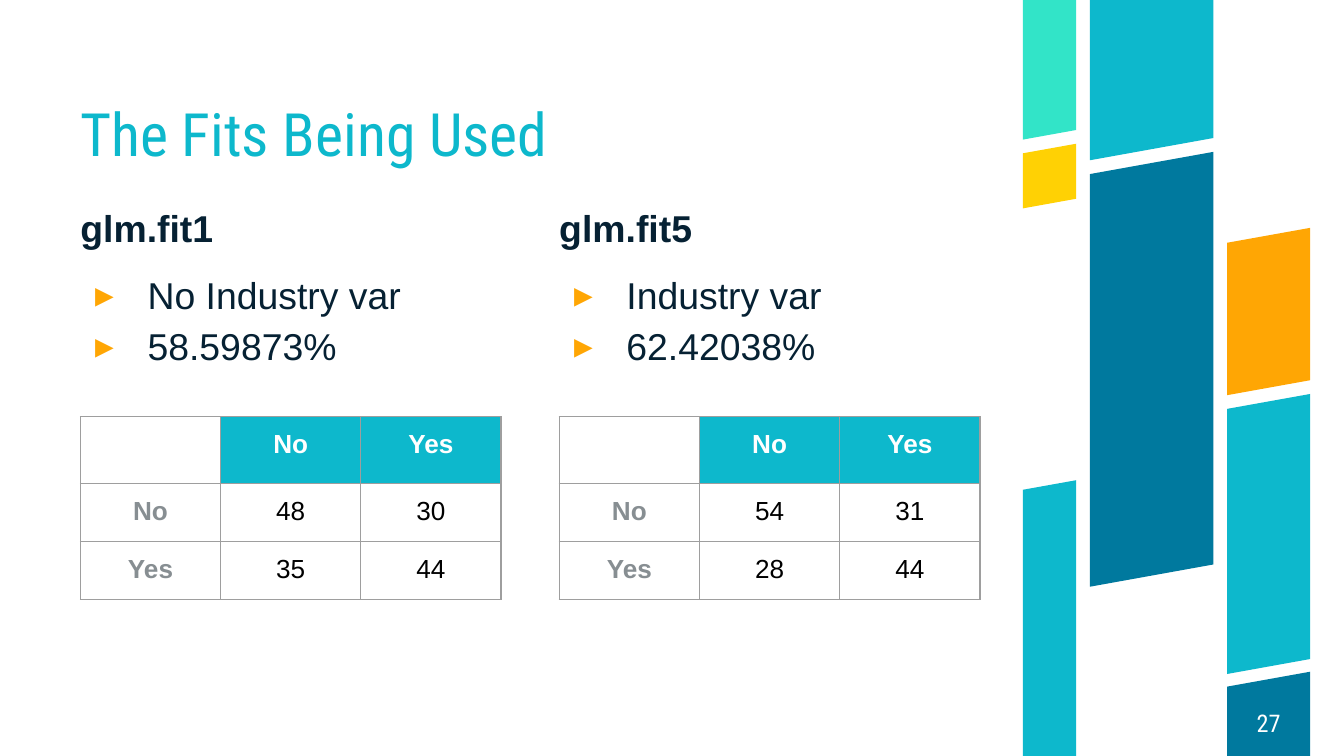
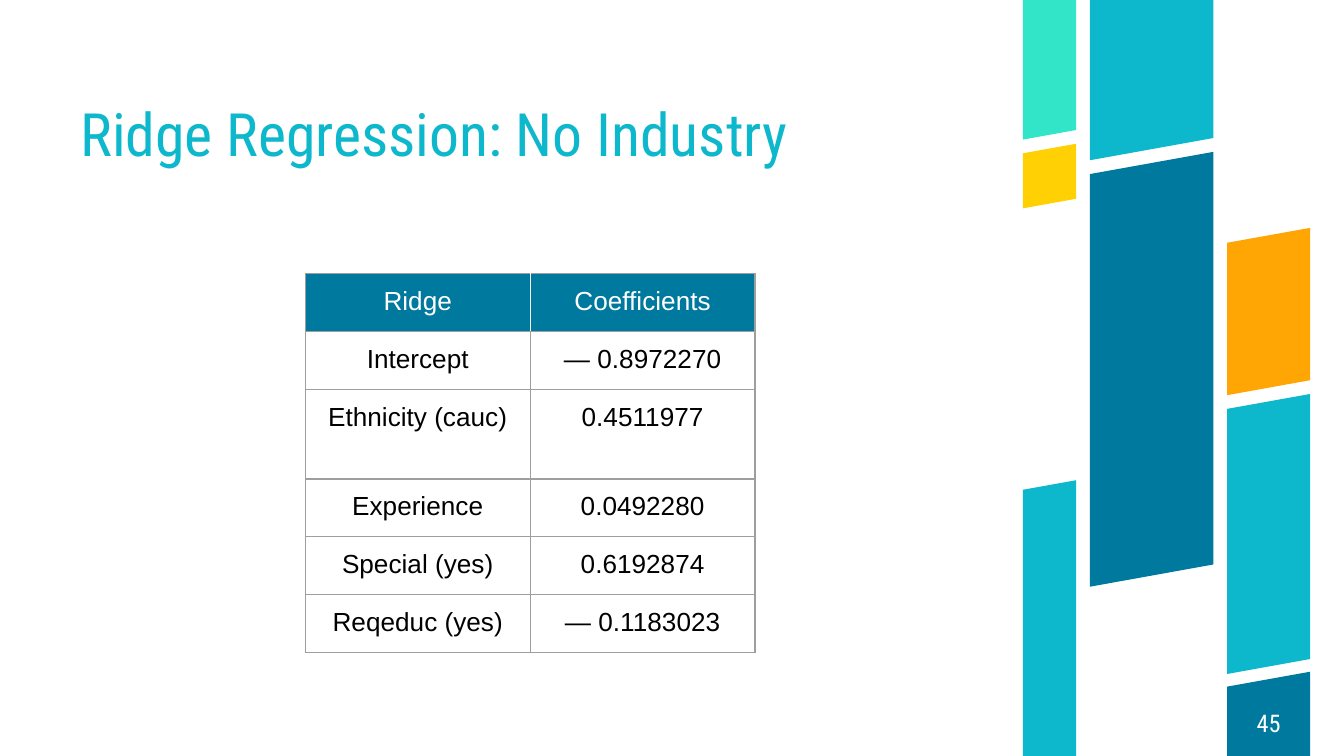
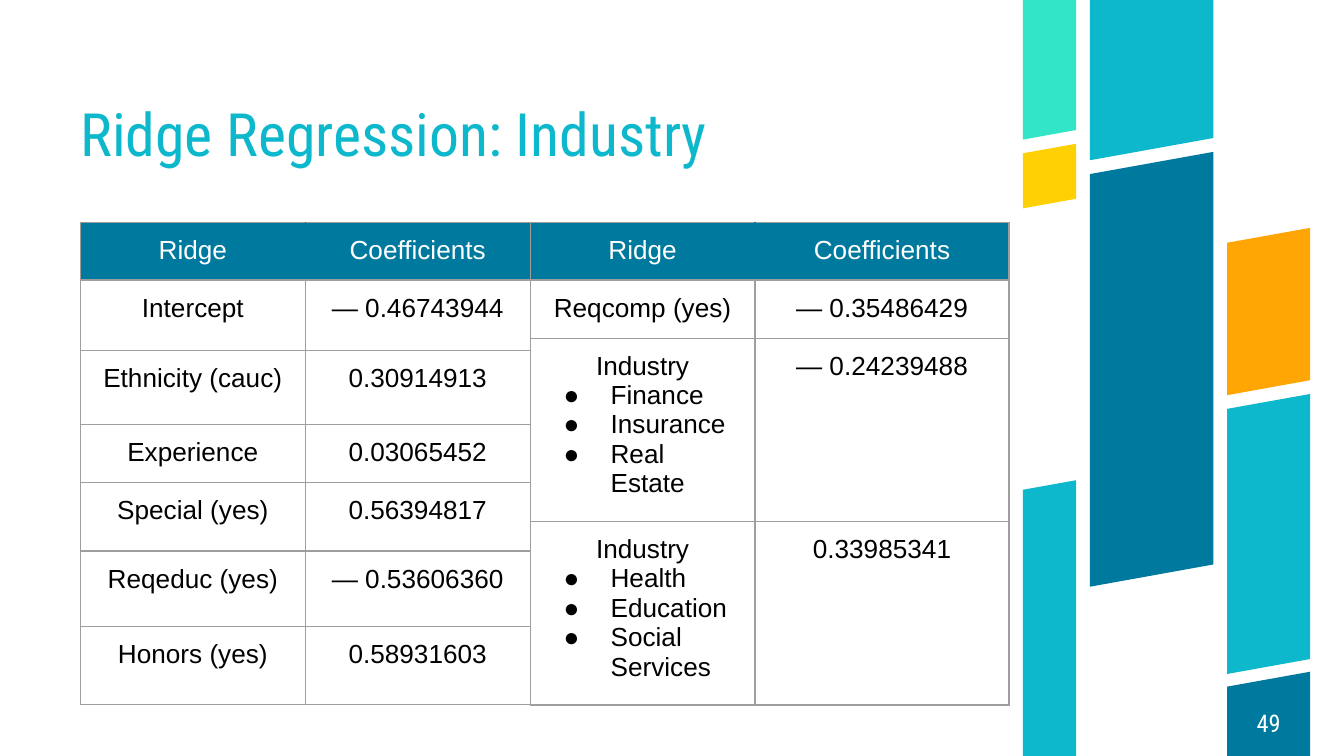
import lxml.etree
import pptx
import pptx.dml.color
import pptx.enum.text
import pptx.oxml.ns
import pptx.util

Cm = pptx.util.Cm
Pt = pptx.util.Pt
CENTER = pptx.enum.text.PP_ALIGN.CENTER
LEFT = pptx.enum.text.PP_ALIGN.LEFT
TOP = pptx.enum.text.MSO_ANCHOR.TOP
MIDDLE = pptx.enum.text.MSO_ANCHOR.MIDDLE
BOTTOM = pptx.enum.text.MSO_ANCHOR.BOTTOM

COLORS = {
    "teal": "0DB8CC",
    "blue": "00799E",
    "mint": "32E4C8",
    "yellow": "FFD104",
    "orange": "FFA604",
    "navy": "062133",
    "label": "878E92",
    "border": "9E9E9E",
    "black": "000000",
    "white": "FFFFFF",
}

SLIDE_WIDTH, SLIDE_HEIGHT = 25.4, 14.29
MARGIN = 1.52
SECOND_COLUMN = 10.57
ROW = 1.06
COLUMN = 4.25

BAND_SLOPE = 0.18
BAND_COLUMNS = {"left": (19.33, 20.34), "middle": (20.6, 22.93), "right": (23.19, 24.76)}
BANDS = [
    ("left", 9.26, SLIDE_HEIGHT, "teal"),
    ("left", 2.9, 3.94, "yellow"),
    ("left", 0, 2.64, "mint"),
    ("middle", 3.29, 11.09, "blue"),
    ("middle", 0, 3.03, "teal"),
    ("right", 4.59, 7.47, "orange"),
    ("right", 12.98, SLIDE_HEIGHT, "blue"),
    ("right", 7.73, 12.74, "teal"),
]

FONTS = {
    "title": {"name": "Roboto Condensed", "size": Pt(32), "bold": False},
    "number": {"name": "Roboto Condensed", "size": Pt(13), "bold": False},
    "heading": {"name": "Arial", "size": Pt(20), "bold": True},
    "body": {"name": "Arial", "size": Pt(20), "bold": False},
    "cell": {"name": "Arial", "size": Pt(14), "bold": False},
    "cell_bold": {"name": "Arial", "size": Pt(14), "bold": True},
}


def rgb(color):
    """Return the named colour as an RGB value."""
    return pptx.dml.color.RGBColor.from_string(COLORS[color])


def set_values(target, values):
    """Set each named value as an attribute of the target."""
    for name, value in values.items():
        setattr(target, name, value)


def add_element(parent, tag, **attributes):
    """Append a DrawingML element and return it."""
    return lxml.etree.SubElement(parent, pptx.oxml.ns.qn(tag), attributes)


def add_bullet(paragraph, character, color, hanging):
    """Give the paragraph a coloured bullet with a hanging indent."""
    properties = paragraph._p.get_or_add_pPr()
    properties.set("marL", str(Cm(1.27)))
    properties.set("indent", str(-Cm(hanging)))
    add_element(add_element(properties, "a:buClr"), "a:srgbClr", val=COLORS[color])
    add_element(properties, "a:buFont", typeface="Arial")
    add_element(properties, "a:buChar", char=character)


def write_paragraph(text_frame, index, text, font, color, layout):
    """Write one styled paragraph, reusing the first one of the frame."""
    paragraph = text_frame.add_paragraph() if index else text_frame.paragraphs[0]
    set_values(paragraph, layout)
    run = paragraph.add_run()
    run.text = text
    set_values(run.font, FONTS[font])
    run.font.color.rgb = rgb(color)
    return paragraph


def add_text_frame(slide, left, top, width, height, anchor):
    """Add a wrapping text box without insets and return its frame."""
    box = slide.shapes.add_textbox(Cm(left), Cm(top), Cm(width), Cm(height))
    set_values(box.text_frame, {
        "word_wrap": True, "vertical_anchor": anchor,
        "margin_left": 0, "margin_right": 0, "margin_top": 0, "margin_bottom": 0,
    })
    return box.text_frame


def add_band(slide, column, top, bottom, color):
    """Add a band whose ends slope upwards, except at the slide edges."""
    left, right = BAND_COLUMNS[column]
    rise = (right - left) * BAND_SLOPE
    right_top = top - rise if top > 0 else top
    right_bottom = bottom - rise if bottom < SLIDE_HEIGHT else bottom
    builder = slide.shapes.build_freeform(Cm(left), Cm(top))
    corners = [(right, right_top), (right, right_bottom), (left, bottom)]
    builder.add_line_segments([(Cm(x), Cm(y)) for x, y in corners])
    shape = builder.convert_to_shape()
    shape.shadow.inherit = False
    shape.fill.solid()
    shape.fill.fore_color.rgb = rgb(color)
    shape.line.fill.background()


def add_base_slide(presentation, title, number):
    """Add a slide with the bands, title and page number."""
    slide = presentation.slides.add_slide(presentation.slide_layouts[6])
    for band in BANDS:
        add_band(slide, *band)
    title_frame = add_text_frame(slide, MARGIN, 2.11, 16.97, 1.09, BOTTOM)
    write_paragraph(title_frame, 0, title, "title", "teal", {"line_spacing": 0.9})
    number_frame = add_text_frame(slide, 23.19, 13.03, 1.57, 1.26, MIDDLE)
    write_paragraph(number_frame, 0, number, "number", "white", {"alignment": CENTER})
    return slide


def add_fit_summary(slide, left, heading, points):
    """Add a model name with its bulleted points."""
    text_frame = add_text_frame(slide, left, 3.76, 7.92, 3.68, TOP)
    write_paragraph(text_frame, 0, heading, "heading", "navy", {"line_spacing": 1.15})
    for index, point in enumerate(points, 1):
        layout = {"line_spacing": 1.15, "space_before": Pt(8 if index == 1 else 0)}
        paragraph = write_paragraph(text_frame, index, point, "body", "navy", layout)
        add_bullet(paragraph, "▸", "orange", 0.99)


def set_borders(cell, left="border", right="border"):
    """Draw the four cell borders, with chosen colours at the sides."""
    properties = cell._tc.get_or_add_tcPr()
    sides = {"a:lnL": left, "a:lnR": right, "a:lnT": "border", "a:lnB": "border"}
    for tag, color in sides.items():
        line = add_element(properties, tag, w=str(Pt(0.75)))
        add_element(add_element(line, "a:solidFill"), "a:srgbClr", val=COLORS[color])


def write_cell(cell, text, font, color, fill=None):
    """Fill a cell; lines after the first become bullets."""
    set_values(cell, {f"margin_{side}": Cm(0.25) for side in ("left", "right", "top", "bottom")})
    if fill:
        cell.fill.solid()
        cell.fill.fore_color.rgb = rgb(fill)
    else:
        cell.fill.background()
    for index, line in enumerate(text.split("\n")):
        layout = {"alignment": LEFT if index else CENTER}
        paragraph = write_paragraph(cell.text_frame, index, line, font, color, layout)
        if index:
            add_bullet(paragraph, "●", "black", 0.89)


def add_grid(slide, left, top, widths, heights):
    """Add an unstyled table of the given column widths and row heights."""
    frame = slide.shapes.add_table(
        len(heights), len(widths), Cm(left), Cm(top), Cm(sum(widths)), Cm(sum(heights)))
    table = frame.table
    set_values(table, {"first_row": False, "horz_banding": False})
    for column, width in zip(table.columns, widths):
        column.width = Cm(width)
    for row, height in zip(table.rows, heights):
        row.height = Cm(height)
    return table


def add_confusion_table(slide, left, counts):
    """Add a two-by-two table of predicted against actual answers."""
    table = add_grid(slide, left, 7.88, [2.65] * 3, [1.21, ROW, ROW])
    answers = ["No", "Yes"]
    rows = [["", *answers]] + [[answer, *values] for answer, values in zip(answers, counts)]
    for row_index, row in enumerate(rows):
        for column_index, value in enumerate(row):
            cell = table.cell(row_index, column_index)
            set_borders(cell)
            if row_index == 0:
                style = ("cell_bold", "white", "teal" if value else None)
            elif column_index == 0:
                style = ("cell_bold", "label", "white")
            else:
                style = ("cell", "black")
            write_cell(cell, str(value), *style)


def add_ridge_table(slide, left, top, widths, heights, divider, coefficients):
    """Add a table of ridge coefficients under a blue header."""
    table = add_grid(slide, left, top, widths, heights)
    for row_index, row in enumerate([("Ridge", "Coefficients"), *coefficients]):
        for column_index, text in enumerate(row):
            cell = table.cell(row_index, column_index)
            if row_index == 0:
                set_borders(cell, **{"left" if column_index else "right": divider})
                write_cell(cell, text, "cell", "white", "blue")
            else:
                set_borders(cell)
                write_cell(cell, text, "cell", "black")


def add_fits_slide(presentation):
    """Add the comparison of the two fits."""
    slide = add_base_slide(presentation, "The Fits Being Used", "27")
    fits = [
        (MARGIN, "glm.fit1", ["No Industry var", "58.59873%"], [(48, 30), (35, 44)]),
        (SECOND_COLUMN, "glm.fit5", ["Industry var", "62.42038%"], [(54, 31), (28, 44)]),
    ]
    for left, heading, points, counts in fits:
        add_fit_summary(slide, left, heading, points)
        add_confusion_table(slide, left, counts)


def add_no_industry_slide(presentation):
    """Add the ridge coefficients without the industry variable."""
    slide = add_base_slide(presentation, "Ridge Regression: No Industry", "45")
    heights = [ROW, 1.1, 1.69, ROW, ROW, ROW]
    add_ridge_table(slide, 5.77, 5.17, [COLUMN] * 2, heights, "white", [
        ("Intercept", "— 0.8972270"),
        ("Ethnicity (cauc)", "0.4511977"),
        ("Experience", "0.0492280"),
        ("Special (yes)", "0.6192874"),
        ("Reqeduc (yes)", "— 0.1183023"),
    ])


def add_industry_slide(presentation):
    """Add the ridge coefficients with the industry variable."""
    slide = add_base_slide(presentation, "Ridge Regression: Industry", "49")
    heights = [ROW, 1.33, 1.4, ROW, 1.3, 1.42, 1.48]
    add_ridge_table(slide, MARGIN, 4.2, [COLUMN] * 2, heights, "blue", [
        ("Intercept", "— 0.46743944"),
        ("Ethnicity (cauc)", "0.30914913"),
        ("Experience", "0.03065452"),
        ("Special (yes)", "0.56394817"),
        ("Reqeduc (yes)", "— 0.53606360"),
        ("Honors (yes)", "0.58931603"),
    ])
    heights = [ROW, 1.1, 3.28, 3.28]
    add_ridge_table(slide, MARGIN + 2 * COLUMN, 4.2, [COLUMN, 4.8], heights, "blue", [
        ("Reqcomp (yes)", "— 0.35486429"),
        ("Industry\nFinance\nInsurance\nReal Estate", "— 0.24239488"),
        ("Industry\nHealth\nEducation\nSocial Services", "0.33985341"),
    ])


def main():
    """Build and save the presentation."""
    presentation = pptx.Presentation()
    set_values(presentation, {"slide_width": Cm(SLIDE_WIDTH), "slide_height": Cm(SLIDE_HEIGHT)})
    add_fits_slide(presentation)
    add_no_industry_slide(presentation)
    add_industry_slide(presentation)
    presentation.save("out.pptx")


if __name__ == "__main__":
    main()
